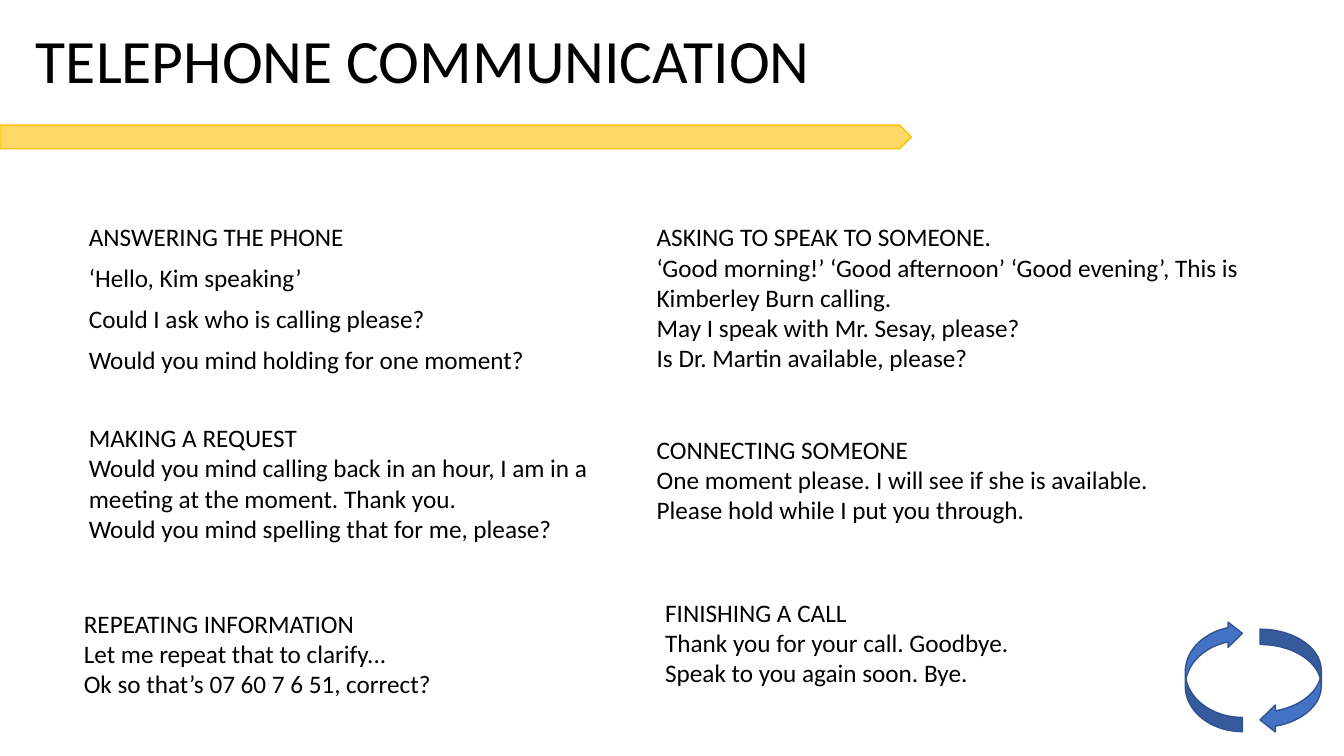
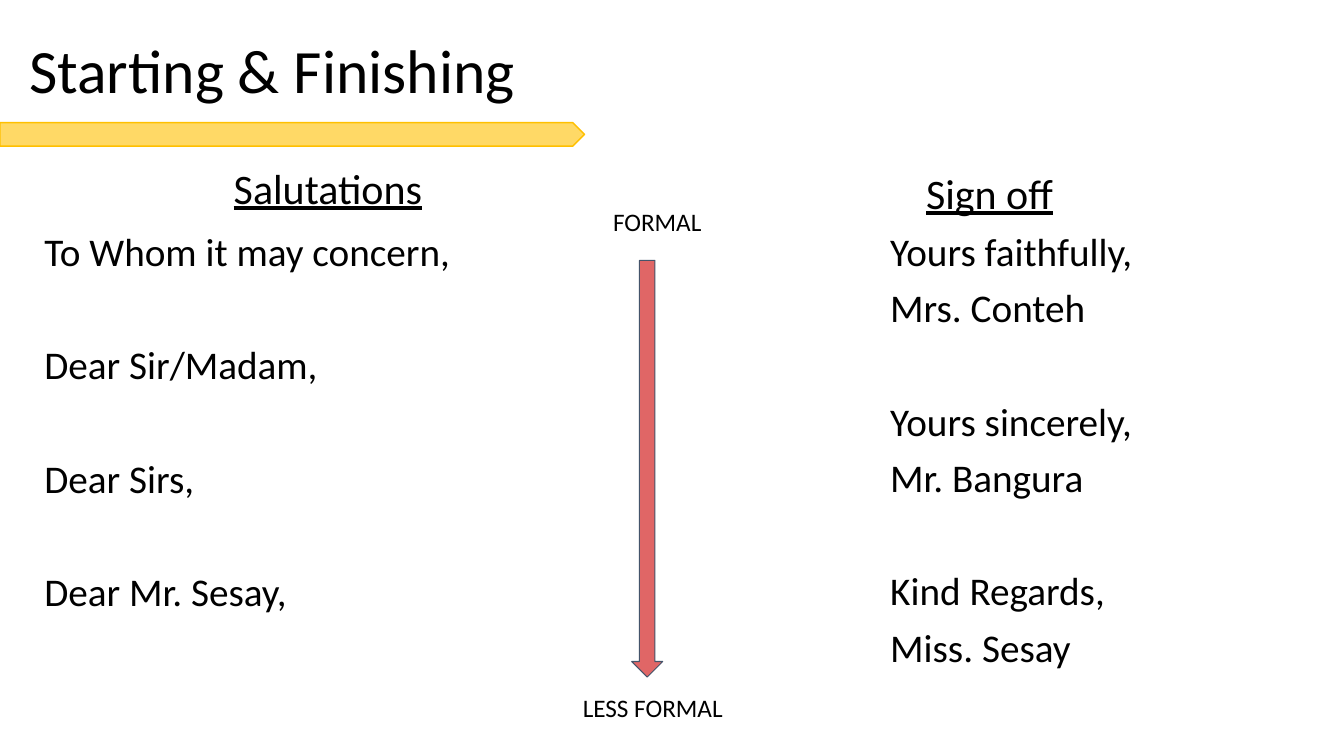
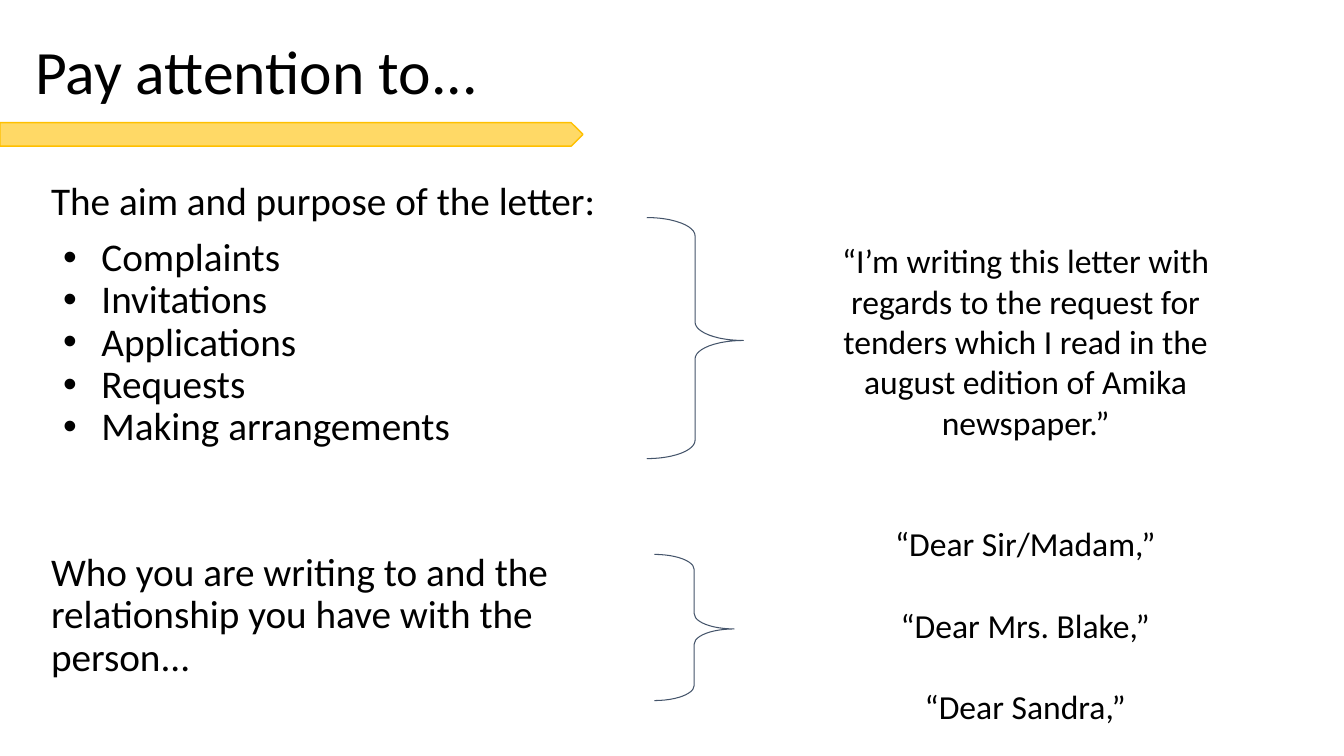
"""Builds three slides on telephone calls and letter writing."""
from dataclasses import dataclass

from lxml import etree
from pptx import Presentation
from pptx.dml.color import RGBColor
from pptx.enum.shapes import MSO_SHAPE
from pptx.enum.text import MSO_ANCHOR, PP_ALIGN
from pptx.oxml.ns import qn
from pptx.util import Inches, Pt

LEFT, MID = PP_ALIGN.LEFT, PP_ALIGN.CENTER
TOP, CORE = MSO_ANCHOR.TOP, MSO_ANCHOR.MIDDLE
BAND, DOWN = MSO_SHAPE.PENTAGON, MSO_SHAPE.DOWN_ARROW
CURL, BRACE = MSO_SHAPE.CURVED_LEFT_ARROW, MSO_SHAPE.RIGHT_BRACE


@dataclass(frozen=True)
class Theme:
    font: str = "Calibri"
    ink: str = "000000"
    band: str = "FFD966"
    edge: str = "FFC000"
    blue: str = "4472C4"
    navy: str = "31538F"
    red: str = "E06666"
    slate: str = "44546A"
    title: int = 44
    head: int = 30
    body: int = 28
    quote: int = 24
    small: int = 18
    tight: float = 0.9
    gap: int = 10
    line: float = 1.22


T = Theme()
WIDE, HIGH = Inches(13.33), Inches(7.5)
COLS, ROWS = 160, 90
SNUG = {"ls": T.tight, "gap": T.gap}
BODY = {"size": T.body, **SNUG}
HEAD = {"size": T.head, "align": MID, "under": True}
QUOTE = {"size": T.quote, "align": MID}
CURVE = {"fill": T.blue, "edge": T.navy, "adj": (0.25, 0.44, 0.25)}
HOOK = {"edge": T.slate, "thick": 0.75, "adj": (0.19, 0.51)}

PHONE = {
    "title": ("TELEPHONE COMMUNICATION", 3.1, 7.6),
    "band": (14.9, 108.5),
    "texts": [
        ((9.4, 26.1, 66, 15), [["ANSWERING THE PHONE", "‘Hello, Kim speaking’",
                                "Could I ask who is calling please?",
                                "Would you mind holding for one moment?"]], SNUG),
        ((77, 25.8, 81.6, 23), [["ASKING TO SPEAK TO SOMEONE.",
                                 "‘Good morning!’ ‘Good afternoon’ ‘Good evening’, "
                                 "This is Kimberley Burn calling.",
                                 "May I speak with Mr. Sesay, please?",
                                 "Is Dr. Martin available, please?"]], {}),
        ((9.4, 49.7, 71.9, 15.7), [["MAKING A REQUEST",
                                    "Would you mind calling back in an hour, "
                                    "I am in a meeting at the moment. Thank you.",
                                    "Would you mind spelling that for me, please?"]], {}),
        ((77, 51.1, 62.8, 12.1), [["CONNECTING SOMEONE",
                                   "One moment please. I will see if she is available.",
                                   "Please hold while I put you through."]], {}),
        ((8.8, 71.8, 50, 12.1), [["REPEATING INFORMATION",
                                  "Let me repeat that to clarify...",
                                  "Ok so that’s 07 60 7 6 51, correct?"]], {}),
        ((78, 70.5, 60, 12.1), [["FINISHING A CALL", "Thank you for your call. Goodbye.",
                                 "Speak to you again soon. Bye."]], {}),
    ],
    "shapes": [
        (CURL, (141.1, 73.9, 6.8, 13.2), {"turn": 180, **CURVE}),
        (CURL, (150, 74.9, 7.3, 12.4), CURVE),
    ],
}

LETTER = {
    "title": ("Starting & Finishing", 2.3, 8.7),
    "band": (14.6, 69.6),
    "texts": [
        ((23.8, 18.7, 30.5, 8.5), [["Salutations"]], HEAD),
        ((99.7, 19.3, 36.2, 8.5), [["Sign off"]], HEAD),
        ((4.1, 27.1, 69.6, 57.1), [["To Whom it may concern,"], ["Dear Sir/Madam,"],
                                   ["Dear Sirs,"], ["Dear Mr. Sesay,"]], BODY),
        ((104.8, 27.1, 36.2, 57.1), [["Yours faithfully,", "Mrs. Conteh"],
                                     ["Yours sincerely,", "Mr. Bangura"],
                                     ["Kind Regards,", "Miss. Sesay"]], BODY),
        ((71.8, 24, 15.5, 5), [["FORMAL"]], {}),
        ((68.2, 81.8, 22.6, 5), [["LESS FORMAL"]], {}),
    ],
    "shapes": [
        (DOWN, (75.2, 31, 3.7, 49.6),
         {"fill": T.red, "edge": T.slate, "thick": 0.75, "adj": (0.5, 0.5)}),
    ],
}

FOCUS = {
    "title": ("Pay attention to...", 3, 8.9),
    "band": (14.6, 69.4),
    "texts": [
        ((4.9, 21, 74.6, 40), [["The aim and purpose of the letter:", "Complaints",
                                "Invitations", "Applications", "Requests",
                                "Making arrangements"]], {"dots": 1, **BODY}),
        ((4.9, 65.2, 64.2, 17.4), [["Who you are writing to and the relationship "
                                    "you have with the person..."]], BODY),
        ((96.1, 28, 52, 36), [["“I’m writing this letter with regards to the request "
                               "for tenders which I read in the august edition of "
                               "Amika newspaper.”"]], QUOTE),
        ((97.4, 61.7, 49.3, 25), [["“Dear Sir/Madam,”"], ["“Dear Mrs. Blake,”"],
                                  ["“Dear Sandra,”"]], QUOTE),
    ],
    "shapes": [
        (BRACE, (77, 25.9, 11.5, 28.7), HOOK),
        (BRACE, (77.9, 66, 9.5, 17.4), HOOK),
    ],
}


def place(box):
    """Turn grid units into slide lengths."""
    return [round(n * side / parts) for n, side, parts
            in zip(box, (WIDE, HIGH) * 2, (COLS, ROWS) * 2)]


def dot(para):
    """Give a paragraph a hanging bullet."""
    props = para._p.get_or_add_pPr()
    props.set("marL", str(Inches(0.5)))
    props.set("indent", str(Inches(-0.38)))
    etree.SubElement(props, qn("a:buFont")).set("typeface", "Arial")
    etree.SubElement(props, qn("a:buChar")).set("char", "•")


def write(slide, box, groups, size=T.small, ls=1, gap=0, align=LEFT,
          under=False, anchor=TOP, dots=None):
    """Add a text box whose groups stand one line apart."""
    frame = slide.shapes.add_textbox(*place(box)).text_frame
    frame.word_wrap = True
    frame.vertical_anchor = anchor
    frame.text = "\n".join(line for group in groups for line in group)
    heads = [index == 0 for group in groups for index in range(len(group))]
    skip = 2 * gap + size * T.line * ls
    for index, (para, first) in enumerate(zip(frame.paragraphs, heads)):
        para.alignment = align
        para.line_spacing = ls
        para.space_before = Pt(skip if first and index else gap)
        if dots and index >= dots:
            dot(para)
            para.space_before = Pt(gap if index == dots else 0)
        font = para.runs[0].font
        font.name, font.size = T.font, Pt(size)
        font.underline = under
        font.color.rgb = RGBColor.from_string(T.ink)


def draw(slide, kind, box, fill=None, edge=T.edge, thick=1, adj=(0.5,), turn=0):
    """Add a flat preset shape."""
    shape = slide.shapes.add_shape(kind, *place(box))
    shape.shadow.inherit = False
    shape.rotation = turn
    for index, share in enumerate(adj):
        shape.adjustments[index] = share
    if fill:
        shape.fill.solid()
        shape.fill.fore_color.rgb = RGBColor.from_string(fill)
    else:
        shape.fill.background()
    shape.line.color.rgb = RGBColor.from_string(edge)
    shape.line.width = Pt(thick)


def build(deck, page):
    """Add one slide with its title, band, texts and shapes."""
    slide = deck.slides.add_slide(deck.slide_layouts[6])
    title, left, mid = page["title"]
    write(slide, (left, mid - 6, 138, 12), [[title]], T.title, T.tight, anchor=CORE)
    top, width = page["band"]
    draw(slide, BAND, (0, top, width, 2.8), T.band)
    for box, groups, style in page["texts"]:
        write(slide, box, groups, **style)
    for kind, box, style in page["shapes"]:
        draw(slide, kind, box, **style)


def main():
    """Build and save the deck."""
    deck = Presentation()
    deck.slide_width, deck.slide_height = WIDE, HIGH
    for page in (PHONE, LETTER, FOCUS):
        build(deck, page)
    deck.save("out.pptx")


if __name__ == "__main__":
    main()
